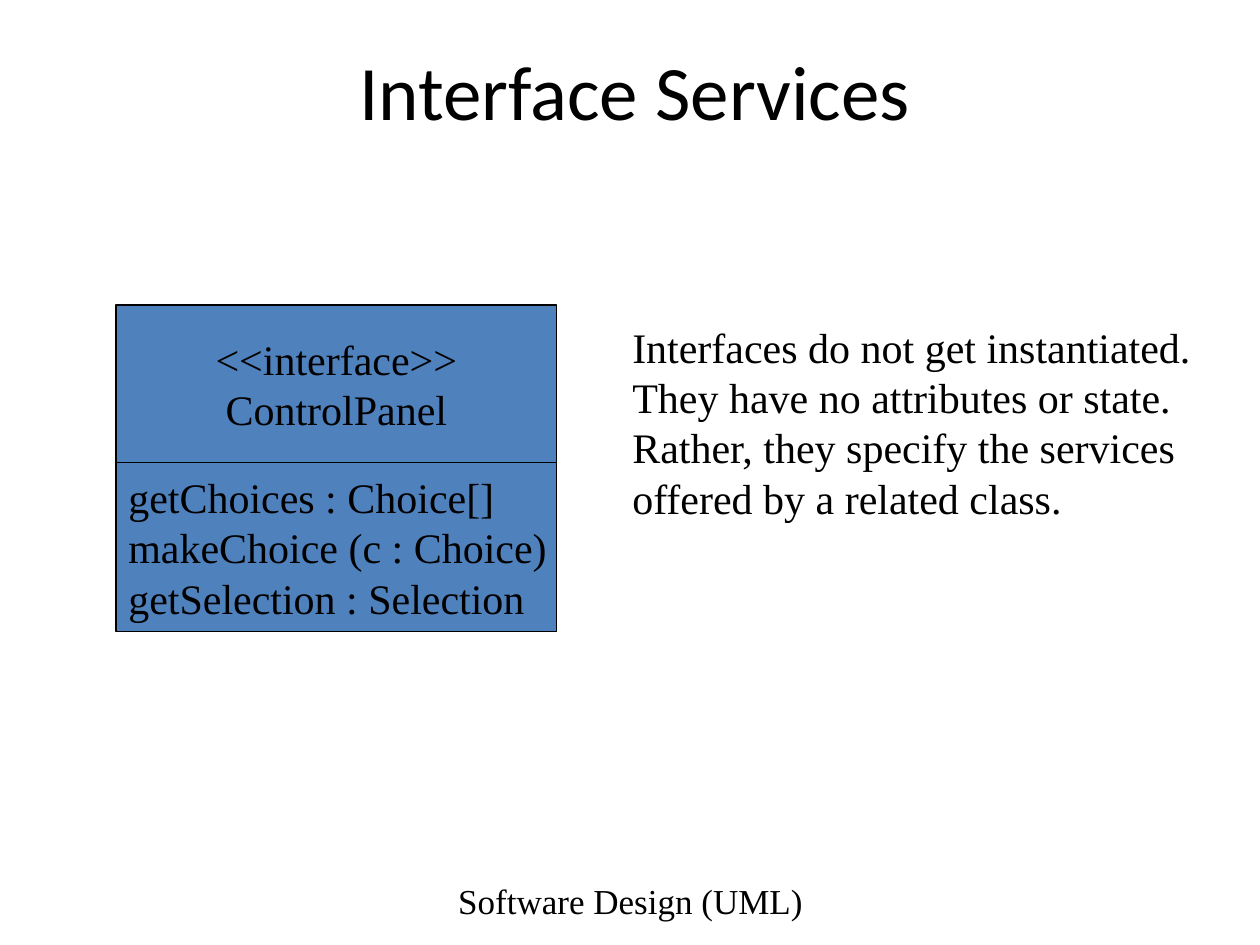
from pptx import Presentation
from pptx.dml.color import RGBColor
from pptx.enum.shapes import MSO_SHAPE as Shape
from pptx.enum.text import MSO_ANCHOR as Anchor, PP_ALIGN as Align
from pptx.util import Inches, Pt

# Content
TITLE = "Interface Services"
NOTE = ("Interfaces do not get instantiated. They have no attributes or state. "
        "Rather, they specify the services offered by a related class.")
FOOTER = "Software Design (UML)"
# Class compartments: lines, height, alignment
COMPARTMENTS = [
    (["<<interface>>", "ControlPanel"], 1.25, Align.CENTER),
    (["getChoices : Choice[]", "makeChoice (c : Choice)",
      "getSelection : Selection"], 1.34, Align.LEFT),
]
CLASS_LEFT, CLASS_TOP, CLASS_WIDTH = 0.92, 2.42, 3.5
SERIF, BLACK, BLUE = "Times New Roman", "000000", "4F81BD"


def color(value):
    return RGBColor.from_string(value)


def write(shape, lines, size, align, anchor=Anchor.MIDDLE, font=SERIF, wrap=True):
    frame = shape.text_frame
    frame.text = "\n".join(lines)
    frame.word_wrap = wrap
    frame.vertical_anchor = anchor
    for para in frame.paragraphs:
        para.alignment = align
        para.font.name = font
        para.font.size = Pt(size)
        para.font.color.rgb = color(BLACK)


def area(*lengths):
    return [Inches(length) for length in lengths]


deck = Presentation()
deck.slide_width, deck.slide_height = area(10, 7.5)
page = deck.slides.add_slide(deck.slide_layouts[5])

# Title
title = page.shapes.title
title.left, title.top, title.width, title.height = area(0.75, 0.42, 8.58, 0.58)
write(title, [TITLE], 44, Align.CENTER, font="Calibri")

# Explanation and footer
note = page.shapes.add_textbox(*area(4.92, 2.5, 4.83, 1.7))
write(note, [NOTE], 24, Align.LEFT, Anchor.TOP)
footer = page.shapes.add_textbox(*area(3.42, 6.95, 3.17, 0.4))
write(footer, [FOOTER], 20, Align.CENTER)

# Class diagram, stacked downwards
class_group = page.shapes.add_group_shape()
top = CLASS_TOP
for lines, height, align in COMPARTMENTS:
    box = class_group.shapes.add_shape(
        Shape.RECTANGLE, *area(CLASS_LEFT, top, CLASS_WIDTH, height))
    box.shadow.inherit = False
    box.fill.solid()
    box.fill.fore_color.rgb = color(BLUE)
    box.line.color.rgb = color(BLACK)
    box.line.width = Pt(0.75)
    write(box, lines, 24, align, wrap=False)
    top += height

deck.save("out.pptx")
